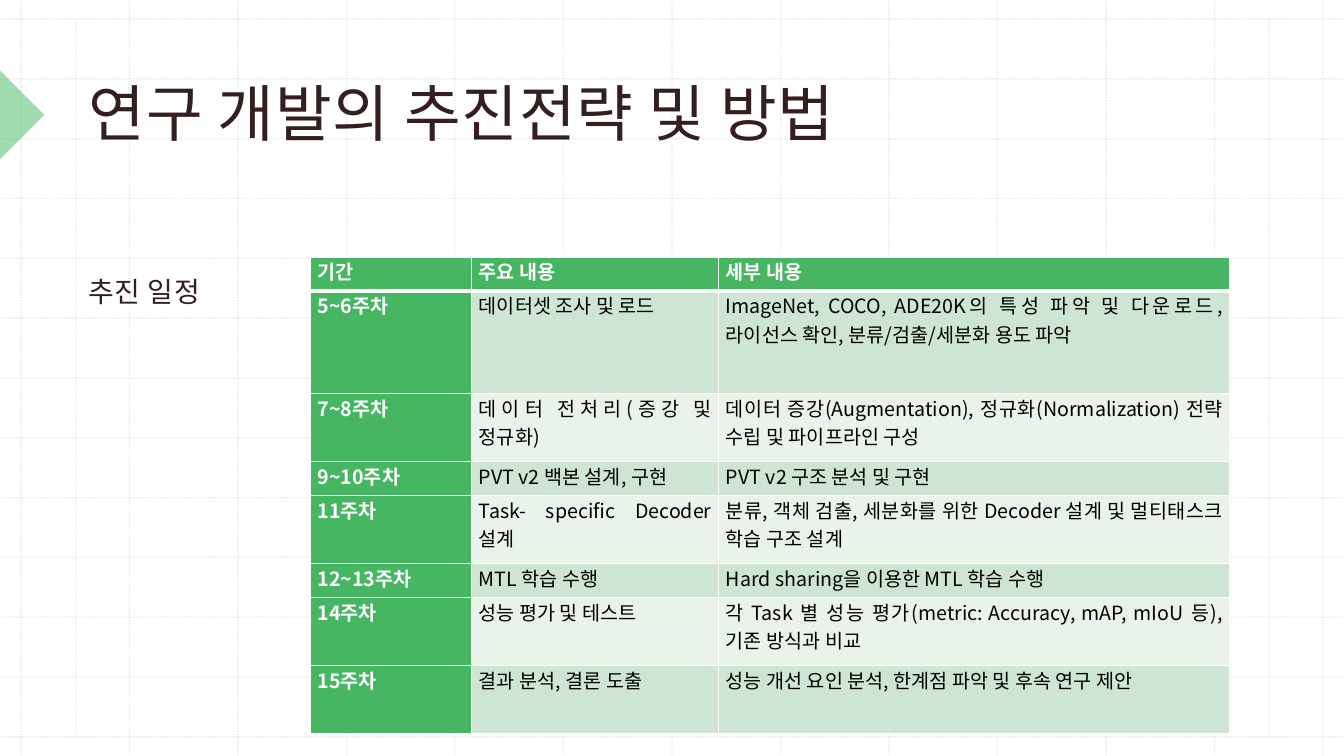
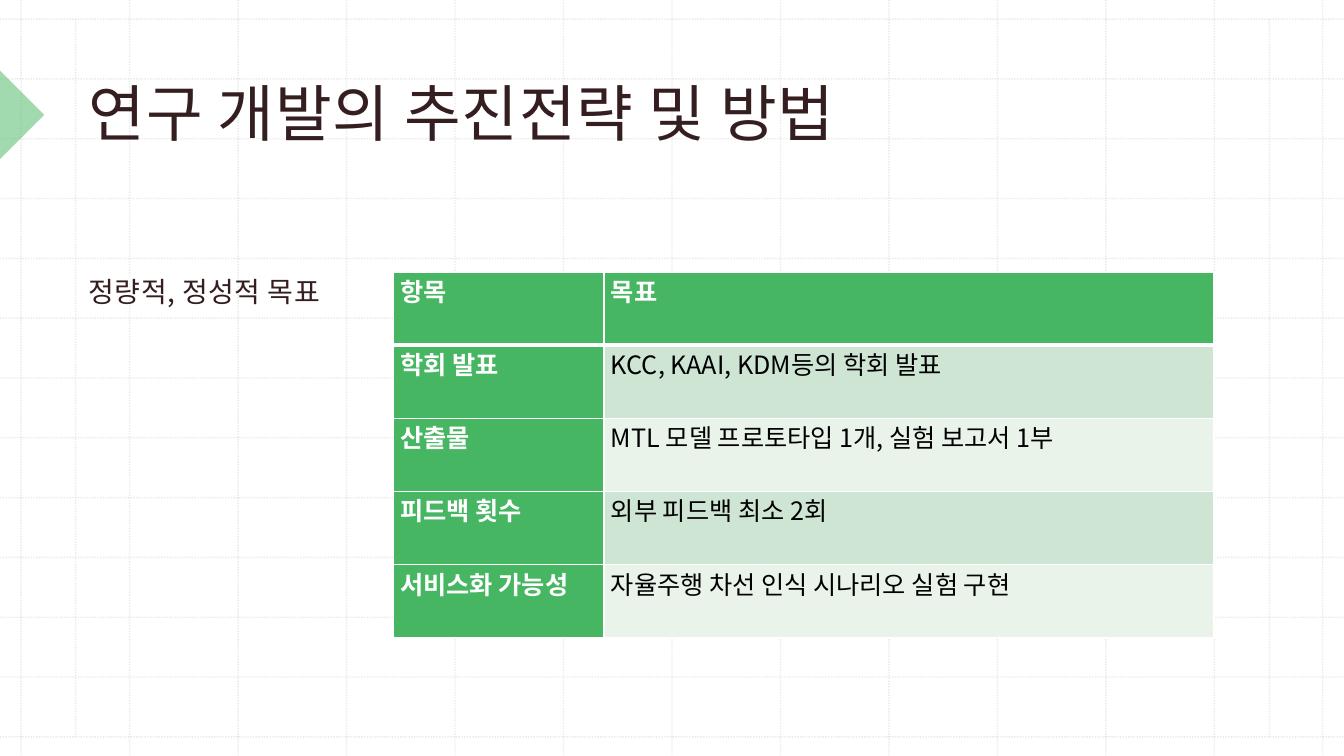
from lxml import etree
from pptx import Presentation
from pptx.dml.color import RGBColor
from pptx.enum.dml import MSO_LINE
from pptx.enum.shapes import MSO_CONNECTOR, MSO_SHAPE
from pptx.enum.text import MSO_ANCHOR, PP_ALIGN
from pptx.oxml.ns import qn
from pptx.util import Inches, Pt

STRAIGHT = MSO_CONNECTOR.STRAIGHT
RIGHT_TRIANGLE = MSO_SHAPE.RIGHT_TRIANGLE
DOTTED = MSO_LINE.ROUND_DOT
TOP, BOTTOM = MSO_ANCHOR.TOP, MSO_ANCHOR.BOTTOM
LEFT, JUSTIFY = PP_ALIGN.LEFT, PP_ALIGN.JUSTIFY

FONT = "Noto Sans CJK KR"
GREEN, WHITE, BLACK, BROWN, GRAY = "47B662", "FFFFFF", "000000", "351E1F", "BCBCBC"
BANDS = ("CFE5D3", "E9F3EA")
WIDTH, HEIGHT = 13.33, 7.5
GRID_TOP, GRID_BOTTOM = 0.19, 7.31
GRID_LEFT, GRID_RIGHT = 0.21, 13.12
COLUMN_LINES, ROW_LINES = 13, 13
MARGIN_LINES = (0.75, 12.59)

TITLE = "연구 개발의 추진전략 및 방법"
SLIDES = [
    {
        "heading": "추진 일정",
        "at": (3.08, 2.55),
        "columns": (1.6, 2.45, 5.07),
        "height": 4.73,
        "row_shares": (1, 3, 2, 1, 2, 1, 2, 2),
        "size": 14,
        "rows": [
            ("기간", "주요 내용", "세부 내용"),
            ("5~6주차", "데이터셋 조사 및 로드",
             "ImageNet, COCO, ADE20K의 특성 파악 및 다운로드, 라이선스 확인, 분류/검출/세분화 용도 파악"),
            ("7~8주차", "데이터 전처리(증강 및 정규화)",
             "데이터 증강(Augmentation), 정규화(Normalization) 전략 수립 및 파이프라인 구성"),
            ("9~10주차", "PVT v2 백본 설계, 구현", "PVT v2 구조 분석 및 구현"),
            ("11주차", "Task- specific Decoder 설계",
             "분류, 객체 검출, 세분화를 위한 Decoder 설계 및 멀티태스크 학습 구조 설계"),
            ("12~13주차", "MTL 학습 수행", "Hard sharing을 이용한 MTL 학습 수행"),
            ("14주차", "성능 평가 및 테스트",
             "각 Task 별 성능 평가(metric: Accuracy, mAP, mIoU 등), 기존 방식과 비교"),
            ("15주차", "결과 분석, 결론 도출", "성능 개선 요인 분석, 한계점 파악 및 후속 연구 제안"),
        ],
    },
    {
        "heading": "정량적, 정성적 목표",
        "at": (3.9, 2.7),
        "columns": (2.09, 6.05),
        "height": 3.63,
        "row_shares": (1, 1, 1, 1, 1),
        "size": 18,
        "rows": [
            ("항목", "목표"),
            ("학회 발표", "KCC, KAAI, KDM등의 학회 발표"),
            ("산출물", "MTL 모델 프로토타입 1개, 실험 보고서 1부"),
            ("피드백 횟수", "외부 피드백 최소 2회"),
            ("서비스화 가능성", "자율주행 차선 인식 시나리오 실험 구현"),
        ],
    },
]


def color(value):
    return RGBColor.from_string(value)


def paint(fill, value):
    fill.solid()
    fill.fore_color.rgb = color(value)


def set_opacity(element, percent):
    for node in element.iter(qn("a:srgbClr")):
        etree.SubElement(node, qn("a:alpha"), val=str(percent * 1000))


def add_span(para, text, size, value, bold=False, spacing=0):
    span = para.add_run()
    span.text = text
    span.font.size = Pt(size)
    span.font.bold = bold
    span.font.name = FONT
    span.font.color.rgb = color(value)
    properties = span.font._element
    etree.SubElement(properties, qn("a:ea"), typeface=FONT)
    if spacing:
        properties.set("spc", str(spacing))


def add_grid_line(page, x1, y1, x2, y2):
    line = page.shapes.add_connector(
        STRAIGHT, Inches(x1), Inches(y1), Inches(x2), Inches(y2))
    line.line.color.rgb = color(GRAY)
    line.line.width = Pt(1)
    line.line.dash_style = DOTTED
    properties = line._element.spPr
    set_opacity(properties, 30)
    etree.SubElement(properties, qn("a:effectLst"))


def add_background(page):
    paint(page.background.fill, WHITE)
    column_step = (GRID_RIGHT - GRID_LEFT) / (COLUMN_LINES - 1)
    row_step = (GRID_BOTTOM - GRID_TOP) / (ROW_LINES - 1)
    for index in range(COLUMN_LINES):
        x = GRID_LEFT + index * column_step
        add_grid_line(page, x, 0, x, HEIGHT)
    for index in range(ROW_LINES):
        y = GRID_TOP + index * row_step
        add_grid_line(page, 0, y, WIDTH, y)
    for x in MARGIN_LINES:
        add_grid_line(page, x, GRID_TOP, x, GRID_BOTTOM)
    marker = page.shapes.add_shape(
        RIGHT_TRIANGLE, Inches(-0.31), Inches(0.83), Inches(0.62), Inches(0.62))
    marker.rotation = 225
    marker.shadow.inherit = False
    marker.line.fill.background()
    paint(marker.fill, GREEN)
    set_opacity(marker._element.spPr, 50)


def add_text(page, text, top, height, anchor, size, spacing, before=0):
    box = page.shapes.add_textbox(
        Inches(0.76), Inches(top), Inches(11.29), Inches(height))
    frame = box.text_frame
    frame.word_wrap = True
    frame.vertical_anchor = anchor
    frame.margin_left = frame.margin_right = frame.margin_top = Inches(0.12)
    frame.margin_bottom = Inches(0.1)
    para = frame.paragraphs[0]
    para.alignment = LEFT
    para.line_spacing = 1.14
    para.space_before = Pt(before)
    add_span(para, text, size, BROWN, spacing=spacing)


def set_borders(cell, top, bottom):
    properties = cell._tc.get_or_add_tcPr()
    sides = (("a:lnL", 1), ("a:lnR", 1), ("a:lnT", top), ("a:lnB", bottom))
    for position, (tag, width) in enumerate(sides):
        border = etree.Element(qn(tag), w=str(Pt(width)))
        fill = etree.SubElement(border, qn("a:solidFill"))
        etree.SubElement(fill, qn("a:srgbClr"), val=WHITE)
        properties.insert(position, border)


def fill_cell(cell, text, row, column, size):
    is_header = row == 0 or column == 0
    cell.margin_left = cell.margin_right = Inches(0.07)
    cell.margin_top = cell.margin_bottom = 0
    cell.vertical_anchor = TOP
    paint(cell.fill, GREEN if is_header else BANDS[(row - 1) % 2])
    set_borders(cell, 3 if row == 1 else 1, 3 if row == 0 else 1)
    para = cell.text_frame.paragraphs[0]
    para.alignment = JUSTIFY
    add_span(para, text, size, WHITE if is_header else BLACK, is_header)


def add_grid_table(page, content):
    rows, columns = content["rows"], content["columns"]
    left, top = content["at"]
    table = page.shapes.add_table(
        len(rows), len(columns), Inches(left), Inches(top),
        Inches(sum(columns)), Inches(content["height"])).table
    for column, width in zip(table.columns, columns):
        column.width = Inches(width)
    unit = content["height"] / sum(content["row_shares"])
    for row, share in zip(table.rows, content["row_shares"]):
        row.height = Inches(unit * share)
    for row, texts in enumerate(rows):
        for column, text in enumerate(texts):
            fill_cell(table.cell(row, column), text, row, column, content["size"])


def main():
    deck = Presentation()
    deck.slide_width, deck.slide_height = Inches(WIDTH), Inches(HEIGHT)
    for content in SLIDES:
        page = deck.slides.add_slide(deck.slide_layouts[6])
        add_background(page)
        add_text(page, TITLE, 0, 1.58, BOTTOM, 44, 50)
        add_text(page, content["heading"], 2.56, 4.4, TOP, 20, 30, before=10)
        add_grid_table(page, content)
    deck.save("out.pptx")


if __name__ == "__main__":
    main()
